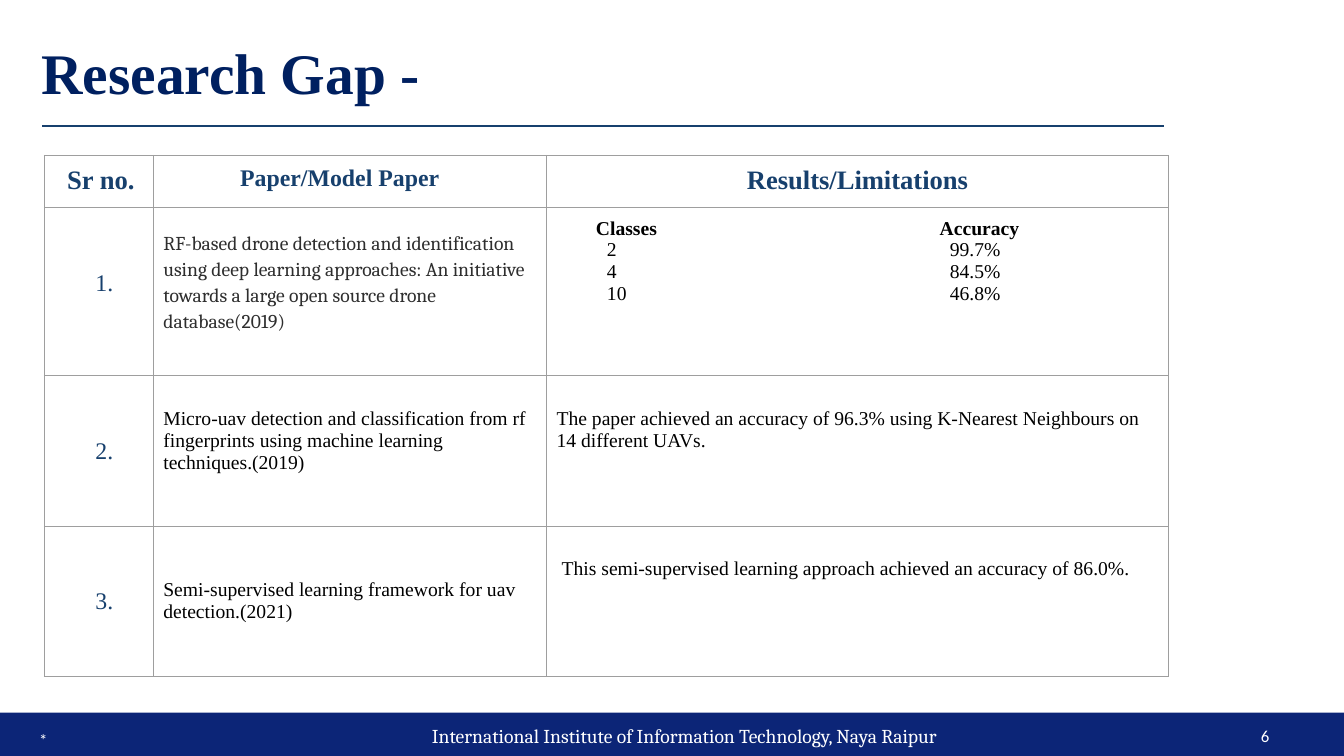
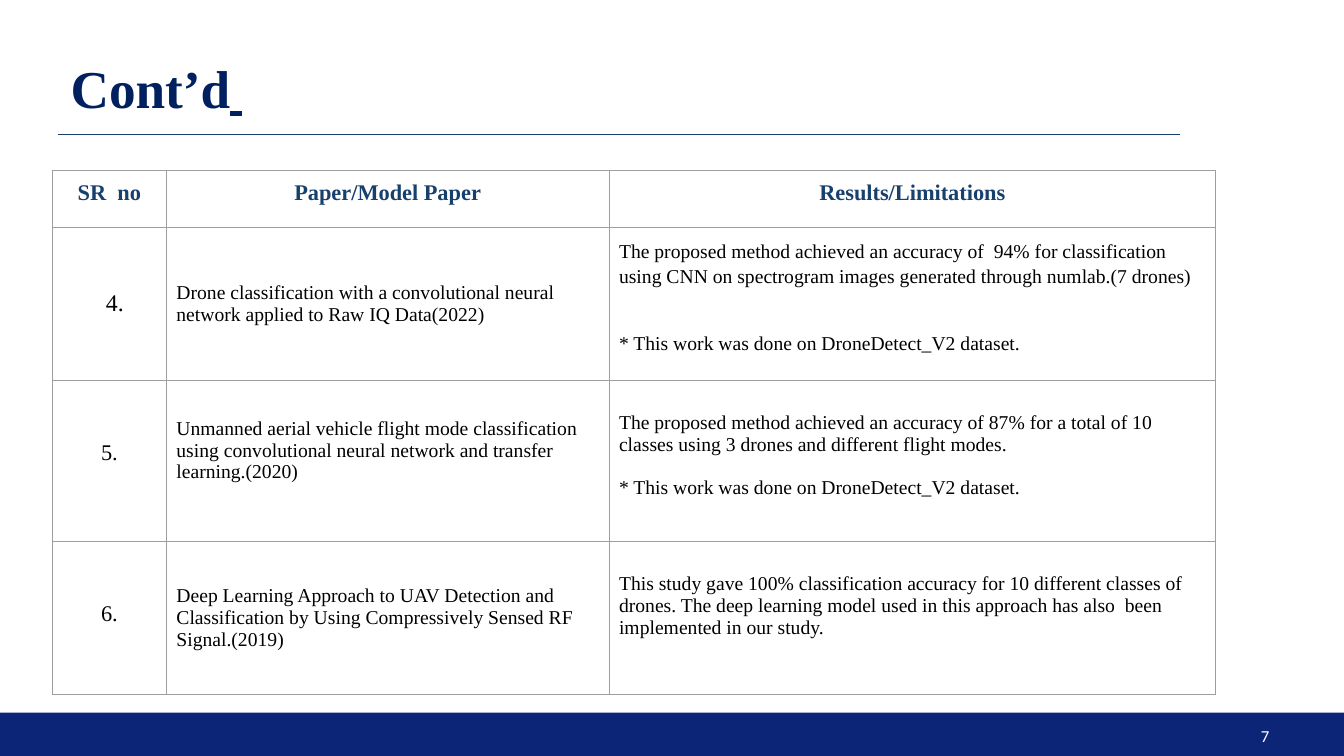
from lxml import etree
from pptx import Presentation
from pptx.dml.color import RGBColor
from pptx.enum.shapes import MSO_CONNECTOR as Link, MSO_SHAPE as Form
from pptx.enum.text import MSO_ANCHOR as Anchor, PP_ALIGN as Align
from pptx.oxml.ns import qn
from pptx.util import Inches, Pt

HUES = {
    "white": "FFFFFF", "black": "000000", "ink": "2E2E2E", "band": "0C2577",
    "title": "002060", "accent": "17406D", "grid": "9E9E9E",
}
SERIF = "Times New Roman"
FONT = ("name", "size", "bold", "underline")
PARA = ("alignment", "line_spacing", "space_before")
BODY = {"name": SERIF, "size": Pt(14), "bold": False, "hue": "black"}
CELL = {f"margin_{side}": Inches(0.1) for side in ("left", "right", "top", "bottom")}
CELL["vertical_anchor"] = Anchor.MIDDLE


def hue(name):
    return RGBColor.from_string(HUES[name])


def apply(item, fmt, keys):
    for key in keys:
        if key in fmt:
            setattr(item, key, fmt[key])


class Deck:
    def __init__(self):
        self.prs = Presentation()
        self.prs.slide_width, self.prs.slide_height = Inches(13.33), Inches(7.5)

    def start(self, number):
        """Add a slide with the bottom band and its number."""
        self.slide = self.prs.slides.add_slide(self.prs.slide_layouts[5])
        band = self.slide.shapes.add_shape(
            Form.RECTANGLE, 0, Inches(7.07), Inches(13.33), Inches(0.43))
        band.shadow.inherit = False
        band.fill.solid()
        band.fill.fore_color.rgb = hue("band")
        band.line.fill.background()
        self.note(number, 10.53, 7.1, 2.16, 0.4, alignment=Align.RIGHT)

    def run(self, para, text, fmt):
        run = para.add_run()
        run.text = text
        apply(run.font, fmt, FONT)
        run.font.color.rgb = hue(fmt["hue"])
        apply(para, fmt, PARA)

    def title(self, left, top, *runs):
        head = self.slide.shapes.title
        head.left, head.top = Inches(left), Inches(top)
        head.width, head.height = Inches(12.19), Inches(1.01)
        frame = head.text_frame
        frame.vertical_anchor = Anchor.MIDDLE
        frame.word_wrap = True
        base = {"name": SERIF, "bold": True, "hue": "title",
                "alignment": Align.LEFT, "line_spacing": 0.9}
        for text, fmt in runs:
            self.run(frame.paragraphs[0], text, base | fmt)

    def note(self, text, left, top, width, height, **fmt):
        """Write white text on the band."""
        box = self.slide.shapes.add_textbox(*map(Inches, (left, top, width, height)))
        frame = box.text_frame
        frame.word_wrap = True
        frame.vertical_anchor = Anchor.MIDDLE
        base = {"name": "Calibri", "size": Pt(12), "hue": "white"}
        self.run(frame.paragraphs[0], text, base | fmt)

    def rule(self, left, top):
        line = self.slide.shapes.add_connector(
            Link.STRAIGHT, *map(Inches, (left, top, left + 11.12, top)))
        line.line.color.rgb = hue("accent")
        line.line.width = Pt(0.75)
        etree.SubElement(line._element.spPr, qn("a:effectLst"))

    def edge(self, cell):
        """Draw the four borders of a cell."""
        props = cell._tc.get_or_add_tcPr()
        for place, tag in enumerate(("a:lnL", "a:lnR", "a:lnT", "a:lnB")):
            side = etree.Element(qn(tag), w=str(Pt(0.75)))
            fill = etree.SubElement(side, qn("a:solidFill"))
            etree.SubElement(fill, qn("a:srgbClr"), val=HUES["grid"])
            props.insert(place, side)

    def tabs(self, para, stops):
        group = etree.SubElement(para._p.get_or_add_pPr(), qn("a:tabLst"))
        for stop in stops:
            etree.SubElement(group, qn("a:tab"), pos=str(Inches(stop)), algn="l")

    def fill(self, cell, parts, fmt):
        """Style a cell and write its paragraphs, given as (text, format) pairs."""
        fmt = BODY | CELL | fmt
        apply(cell, fmt, CELL)
        cell.fill.solid()
        cell.fill.fore_color.rgb = hue("white")
        self.edge(cell)
        frame = cell.text_frame
        for i, (text, own) in enumerate(parts):
            para = frame.add_paragraph() if i else frame.paragraphs[0]
            self.run(para, text, fmt | own)
            if "tabs" in own:
                self.tabs(para, own["tabs"])

    def table(self, left, top, cols, rows, data):
        """Build a table; a cell is a text or paragraph list with its format."""
        frame = self.slide.shapes.add_table(
            len(rows), len(cols), *map(Inches, (left, top, sum(cols), sum(rows))))
        table = frame.table
        table.first_row = table.horz_banding = False
        for col, width in zip(table.columns, cols):
            col.width = Inches(width)
        for row, height in zip(table.rows, rows):
            row.height = Inches(height)
        for r, line in enumerate(data):
            for c, (text, fmt) in enumerate(line):
                parts = [(text, {})] if isinstance(text, str) else text
                self.fill(table.cell(r, c), parts, fmt)


def header(size, **more):
    return {"size": Pt(size), "bold": True, "hue": "accent",
            "alignment": Align.CENTER, "vertical_anchor": Anchor.TOP} | more


def serial(shade, size=17, **more):
    return {"size": Pt(size), "hue": shade, "alignment": Align.CENTER,
            "margin_left": Inches(0.21)} | more


def main():
    deck = Deck()
    high = {"vertical_anchor": Anchor.TOP}
    drop = high | {"margin_top": Inches(0.32)}
    lift = {"margin_bottom": Inches(0.3)}
    low = high | {"margin_top": Inches(0.6), "margin_left": Inches(0.1)}
    loose = {"line_spacing": 1.15}
    stops = {"tabs": (0.5, 3.9)}
    dataset = "* This work was done on DroneDetect_V2 dataset."

    deck.start("6")
    deck.title(0.31, 0.25, ("Research Gap -", {"size": Pt(41)}))
    deck.note("*", 0.29, 7.17, 2.42, 0.33)
    deck.note("International Institute of Information Technology, Naya Raipur",
              3.18, 7.1, 7.22, 0.4, name="Cambria", size=Pt(14), alignment=Align.CENTER)
    deck.table(0.44, 1.54, (1.08, 3.9, 6.17), (0.52, 1.67, 1.49, 1.49), [
        [("Sr no.", header(19, margin_left=Inches(0.14))),
         ("Paper/Model Paper", header(17, margin_right=Inches(0.3))),
         ("Results/Limitations", header(19))],
        [("1.", serial("accent", margin_bottom=Inches(0.26))),
         ("RF-based drone detection and identification using deep learning approaches: "
          "An initiative towards a large open source drone database(2019)",
          lift | loose | {"name": "Cambria", "hue": "ink"}),
         ([("\tClasses\tAccuracy", {"bold": True, "tabs": (0.39, 3.8)}),
           ("\t2\t99.7%", stops), ("\t4\t84.5%", stops), ("\t10\t46.8%", stops)], high)],
        [("2.", serial("accent")),
         ("Micro-uav detection and classification from rf fingerprints using "
          "machine learning techniques.(2019)", lift),
         ("The paper achieved an accuracy of 96.3% using K-Nearest Neighbours on "
          "14 different UAVs.", drop)],
        [("3.", serial("accent")),
         ("Semi-supervised learning framework for uav detection.(2021)", {}),
         ("This semi-supervised learning approach achieved an accuracy of 86.0%.",
          drop | {"margin_left": Inches(0.15)})],
    ])
    deck.rule(0.42, 1.25)

    deck.start("7")
    deck.title(0.6, 0.4, ("Cont’d", {"size": Pt(38)}),
               (" ", {"size": Pt(38), "name": "Calibri", "underline": True}))
    deck.table(0.52, 1.69, (1.13, 4.39, 6.02), (0.57, 1.51, 1.6, 1.52), [
        [(text, header(16)) for text in
         ("SR  no", "Paper/Model Paper", "Results/Limitations")],
        [("4.", serial("black")),
         ("Drone classification with a convolutional neural network applied to "
          "Raw IQ Data(2022)", {}),
         ([("The proposed method achieved an accuracy of  94% for classification using CNN "
            "on spectrogram images generated through numlab.(7 drones)", {}),
           (dataset, {"space_before": Pt(30)})], high | loose)],
        [("5.", serial("black", 16, **low)),
         ("Unmanned aerial vehicle flight mode classification using convolutional "
          "neural network and transfer learning.(2020)", lift),
         ([("The proposed method achieved an accuracy of 87% for a total of 10 classes "
            "using 3 drones and different flight modes.", {}),
           (dataset, {"space_before": Pt(15.5)})], drop)],
        [("6.", serial("black", 16, **low)),
         ("Deep Learning Approach to UAV Detection and Classification by Using "
          "Compressively Sensed RF Signal.(2019)", {}),
         ("This study gave 100% classification accuracy for 10 different classes of drones. "
          "The deep learning model used in this approach has also  been implemented "
          "in our study.", drop)],
    ])
    deck.rule(0.58, 1.33)
    deck.prs.save("out.pptx")


if __name__ == "__main__":
    main()
